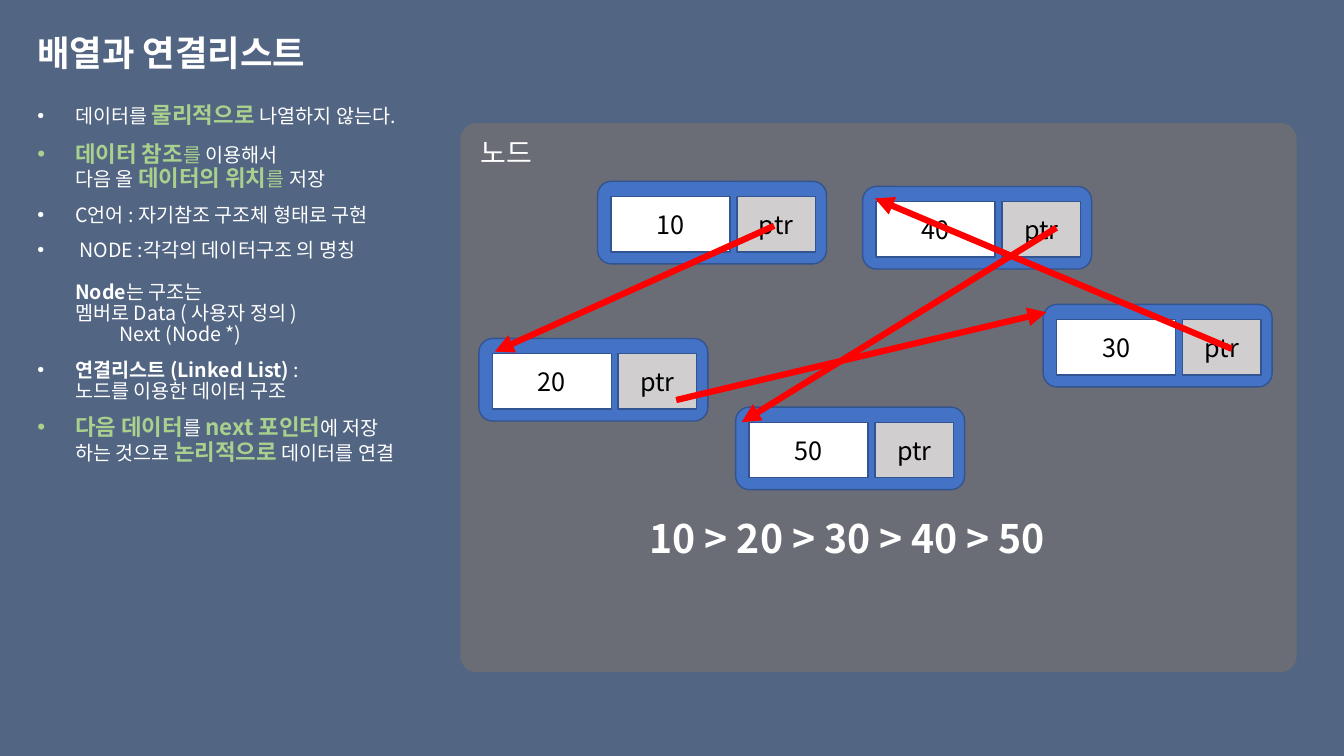
from lxml.etree import SubElement
from pptx import Presentation
from pptx.dml.color import RGBColor
from pptx.enum.shapes import MSO_CONNECTOR, MSO_SHAPE
from pptx.enum.text import MSO_ANCHOR, MSO_AUTO_SIZE, PP_ALIGN
from pptx.oxml.ns import qn
from pptx.util import Cm, Pt

FONT = "Noto Sans CJK KR"
COLORS = {
    "background": "526582", "panel": "767171", "node": "4472C4",
    "outline": "325491", "pointer": "D0CECE", "arrow": "FF0000",
    "white": "FFFFFF", "black": "000000", "green": "A9D18E",
}
STYLES = {
    "title": {"size": Pt(25.2), "bold": True, "color": "white"},
    "heading": {"size": Pt(20), "bold": False, "color": "white"},
    "plain": {"size": Pt(14), "bold": False, "color": "white"},
    "strong": {"size": Pt(14), "bold": True, "color": "white"},
    "key": {"size": Pt(16), "bold": True, "color": "green"},
    "particle": {"size": Pt(14), "bold": False, "color": "green"},
    "cell": {"size": Pt(18), "bold": False, "color": "black"},
    "sequence": {"size": Pt(28), "bold": True, "color": "white"},
}
INDENT = 0.95
# Each entry: left margin in cm, bulleted, space before in points, runs
POINTS = [
    (INDENT, True, 0, [("데이터를 ", "plain"), ("물리적으로 ", "key"),
                       ("나열하지 않는다.", "plain")]),
    (INDENT, True, 10, [("데이터 참조", "key"), ("를 ", "particle"),
                        ("이용해서 \n다음 올 ", "plain"), ("데이터의 위치", "key"),
                        ("를 ", "particle"), ("저장", "plain")]),
    (INDENT, True, 10, [("C언어 : 자기참조 구조체 형태로 구현", "plain")]),
    (INDENT, True, 10, [(" NODE :각각의 데이터구조 의 명칭", "plain")]),
    (INDENT, False, 15, [("Node", "strong"),
                         ("는 구조는 \n멤버로 Data ( 사용자 정의 )", "plain")]),
    (2.07, False, 0, [("Next (Node *)", "plain")]),
    (INDENT, True, 10, [("연결리스트 (Linked List) ", "strong"),
                        (":\n노드를 이용한 데이터 구조", "plain")]),
    (INDENT, True, 10, [("다음 데이터", "key"), ("를 ", "plain"),
                        ("next 포인터", "key"), ("에 저장 \n하는 것으로 ", "plain"),
                        ("논리적으로", "key"), (" 데이터를 연결", "plain")]),
]
NODES = [("10", 15.06, 4.57), ("20", 12.07, 8.53), ("50", 18.54, 10.26),
         ("40", 21.74, 4.7), ("30", 26.29, 7.67)]
ARROWS = [(19.51, 5.69, 12.47, 8.86), (17.04, 10.08, 26.37, 7.87),
          (31.04, 8.79, 22.05, 5.0), (26.62, 5.74, 18.69, 10.64)]


def color(name):
    return RGBColor.from_string(COLORS[name])


def format_run(run, style):
    for name, value in STYLES[style].items():
        if name == "color":
            run.font.color.rgb = color(value)
        else:
            setattr(run.font, name, value)
    run.font.name = FONT
    SubElement(run.font._element, qn("a:ea"), typeface=FONT)


def write(paragraph, text, style):
    """Add text as formatted runs, with a line break at each newline."""
    for number, line in enumerate(text.split("\n")):
        if number:
            line_break = paragraph._p.add_br()
            size = STYLES[style]["size"].centipoints
            SubElement(line_break, qn("a:rPr"), sz=str(size))
        run = paragraph.add_run()
        run.text = line
        format_run(run, style)


def set_bullet(paragraph, margin, bulleted):
    properties = paragraph._p.get_or_add_pPr()
    properties.set("marL", str(Cm(margin)))
    properties.set("indent", str(-Cm(INDENT) if bulleted else 0))
    if bulleted:
        SubElement(properties, qn("a:buFont"), typeface="Arial")
        SubElement(properties, qn("a:buChar"), char="•")
    else:
        SubElement(properties, qn("a:buNone"))


def place(placeholder, left, top, width, height, anchor):
    position = {"left": left, "top": top, "width": width, "height": height}
    for name, value in position.items():
        setattr(placeholder, name, Cm(value))
    frame = placeholder.text_frame
    frame.auto_size = MSO_AUTO_SIZE.NONE
    frame.word_wrap = True
    frame.vertical_anchor = anchor
    return frame


def add_box(shapes, kind, left, top, width, height, fill):
    shape = shapes.add_shape(kind, Cm(left), Cm(top), Cm(width), Cm(height))
    shape.shadow.inherit = False
    shape.fill.solid()
    shape.fill.fore_color.rgb = color(fill)
    shape.line.color.rgb = color("outline")
    shape.line.width = Pt(1)
    return shape


def add_panel(slide):
    """Add the translucent panel behind the placeholders."""
    panel = add_box(slide.shapes, MSO_SHAPE.ROUNDED_RECTANGLE,
                    11.6, 3.1, 21.08, 13.84, "panel")
    panel.adjustments[0] = 0.03
    panel.line.fill.background()
    fill_color = panel._element.spPr.find(".//" + qn("a:srgbClr"))
    SubElement(fill_color, qn("a:alpha"), val="70000")
    slide.shapes._spTree.insert(2, panel._element)


def add_node(slide, value, left, top):
    shapes = slide.shapes.add_group_shape().shapes
    add_box(shapes, MSO_SHAPE.ROUNDED_RECTANGLE, left, top, 5.77, 2.08, "node")
    cells = [(value, 0.34, 3.0, "white"), ("ptr", 3.51, 1.98, "pointer")]
    for text, offset, width, fill in cells:
        cell = add_box(shapes, MSO_SHAPE.RECTANGLE,
                       left + offset, top + 0.38, width, 1.4, fill)
        cell.text_frame.vertical_anchor = MSO_ANCHOR.MIDDLE
        paragraph = cell.text_frame.paragraphs[0]
        paragraph.alignment = PP_ALIGN.CENTER
        write(paragraph, text, "cell")


def add_arrow(slide, *ends):
    arrow = slide.shapes.add_connector(MSO_CONNECTOR.STRAIGHT, *map(Cm, ends))
    arrow.line.color.rgb = color("arrow")
    arrow.line.width = Pt(4.5)
    SubElement(arrow.line._get_or_add_ln(), qn("a:tailEnd"), type="triangle")
    SubElement(arrow._element.spPr, qn("a:effectLst"))


def add_sequence(slide):
    box = slide.shapes.add_textbox(Cm(16.13), Cm(12.83), Cm(11.99), Cm(1.45))
    box.text_frame.word_wrap = False
    box.text_frame.auto_size = MSO_AUTO_SIZE.SHAPE_TO_FIT_TEXT
    write(box.text_frame.paragraphs[0], "10 > 20 > 30 > 40 > 50", "sequence")


def fill_placeholders(slide):
    title, points, heading = slide.placeholders
    frame = place(title, 0.69, 0.76, 12.6, 1.24, MSO_ANCHOR.MIDDLE)
    paragraph = frame.paragraphs[0]
    paragraph.alignment = PP_ALIGN.LEFT
    paragraph.line_spacing = 0.9
    write(paragraph, "배열과 연결리스트", "title")

    frame = place(heading, 11.86, 3.38, 20.83, 13.18, MSO_ANCHOR.TOP)
    paragraph = frame.paragraphs[0]
    set_bullet(paragraph, 0, False)
    paragraph.line_spacing = 0.9
    paragraph.space_before = Pt(0)
    write(paragraph, "노드", "heading")

    frame = place(points, 0.69, 2.51, 10.92, 14.33, MSO_ANCHOR.TOP)
    for number, (margin, bulleted, space, runs) in enumerate(POINTS):
        paragraph = frame.add_paragraph() if number else frame.paragraphs[0]
        set_bullet(paragraph, margin, bulleted)
        paragraph.line_spacing = 0.9
        paragraph.space_before = Pt(space)
        for text, style in runs:
            write(paragraph, text, style)


def main():
    presentation = Presentation()
    presentation.slide_width = Cm(33.87)
    presentation.slide_height = Cm(19.05)
    slide = presentation.slides.add_slide(presentation.slide_layouts[3])
    slide.background.fill.solid()
    slide.background.fill.fore_color.rgb = color("background")
    fill_placeholders(slide)
    add_panel(slide)
    for node in NODES:
        add_node(slide, *node)
    for ends in ARROWS:
        add_arrow(slide, *ends)
    add_sequence(slide)
    presentation.save("out.pptx")


if __name__ == "__main__":
    main()
